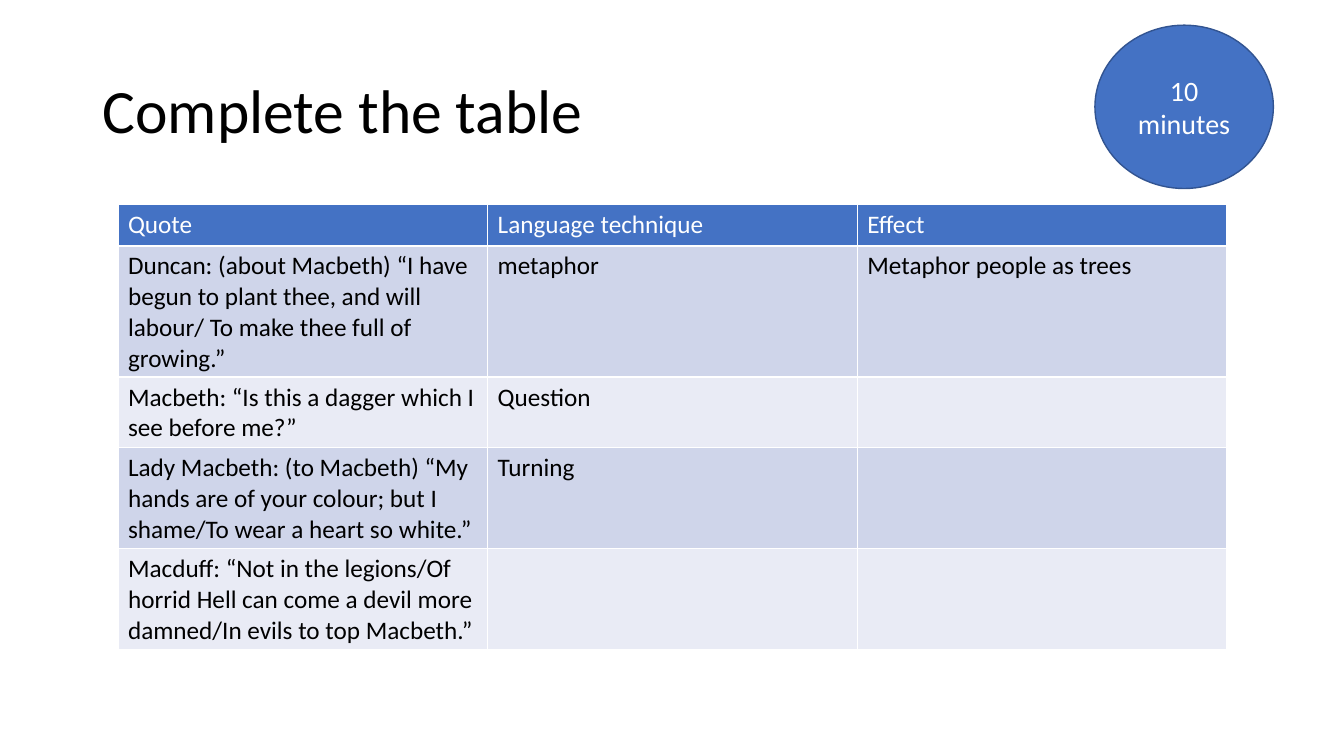
from pptx import Presentation
from pptx.dml.color import RGBColor
from pptx.enum.shapes import MSO_SHAPE
from pptx.enum.text import MSO_ANCHOR, PP_ALIGN
from pptx.util import Inches, Pt

BLUE = RGBColor(0x44, 0x72, 0xC4)
EDGE = RGBColor(0x32, 0x54, 0x91)
DARK = RGBColor(0xCF, 0xD5, 0xEA)
PALE = RGBColor(0xE9, 0xEB, 0xF5)
WHITE = RGBColor(0xFF, 0xFF, 0xFF)
BLACK = RGBColor(0, 0, 0)

ROWS = [
    ("Quote", "Language technique", "Effect"),
    ("Duncan: (about Macbeth) “I have begun to plant thee, and will "
     "labour/ To make thee full of growing.” ",
     "metaphor", "Metaphor people as trees"),
    ("Macbeth: “Is this a dagger which I see before me?”", "Question", ""),
    ("Lady Macbeth: (to Macbeth) “My hands are of your colour; but I "
     "shame/To wear a heart so white.” ", "Turning", ""),
    ("Macduff: “Not in the legions/Of horrid Hell can come a devil more "
     "damned/In evils to top Macbeth.” ", "", ""),
]


def write(frame, text, size, color):
    frame.text = text
    frame.word_wrap = True
    for para in frame.paragraphs:
        for run in para.runs:
            font = run.font
            font.name = "Calibri"
            font.size = Pt(size)
            font.bold = False
            font.color.rgb = color


def add_title(slide, text):
    box = slide.shapes.add_textbox(
        Inches(0.92), Inches(0.4), Inches(11.5), Inches(1.45))
    frame = box.text_frame
    write(frame, text, 44, BLACK)
    frame.vertical_anchor = MSO_ANCHOR.MIDDLE
    frame.paragraphs[0].line_spacing = 0.9


def add_quotes(slide, rows):
    high = Inches(0.41)
    table = slide.shapes.add_table(
        len(rows), len(rows[0]), Inches(1.17), Inches(2.03),
        Inches(11), high * len(rows)).table
    for r, texts in enumerate(rows):
        table.rows[r].height = high
        head = r == 0
        fill = BLUE if head else DARK if r % 2 else PALE
        for c, text in enumerate(texts):
            cell = table.cell(r, c)
            cell.fill.solid()
            cell.fill.fore_color.rgb = fill
            write(cell.text_frame, text, 18, WHITE if head else BLACK)


def add_timer(slide, text):
    disc = slide.shapes.add_shape(
        MSO_SHAPE.OVAL, Inches(10.86), Inches(0.25),
        Inches(1.77), Inches(1.62))
    disc.shadow.inherit = False
    disc.fill.solid()
    disc.fill.fore_color.rgb = BLUE
    disc.line.color.rgb = EDGE
    disc.line.width = Pt(1)
    frame = disc.text_frame
    write(frame, text, 20, WHITE)
    frame.vertical_anchor = MSO_ANCHOR.MIDDLE
    frame.paragraphs[0].alignment = PP_ALIGN.CENTER


def main():
    deck = Presentation()
    deck.slide_width = Inches(13.33)
    deck.slide_height = Inches(7.5)
    slide = deck.slides.add_slide(deck.slide_layouts[6])
    add_title(slide, "Complete the table")
    add_quotes(slide, ROWS)
    add_timer(slide, "10 minutes")
    deck.save("out.pptx")


main()
